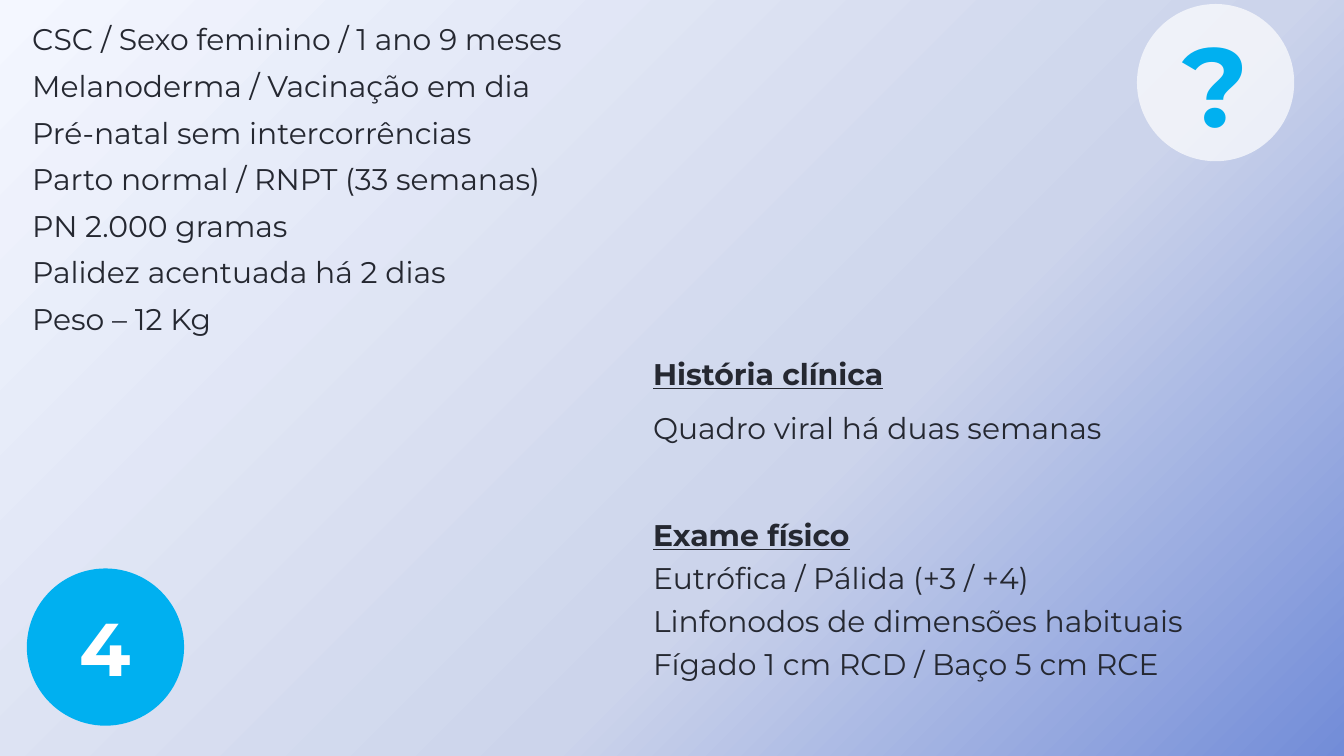
from dataclasses import dataclass

from lxml import etree
from pptx import Presentation
from pptx.dml.color import RGBColor
from pptx.enum.shapes import MSO_SHAPE
from pptx.enum.text import MSO_ANCHOR, MSO_AUTO_SIZE, PP_ALIGN
from pptx.oxml import parse_xml
from pptx.oxml.ns import nsdecls, qn
from pptx.util import Inches, Pt

MIDDLE = MSO_ANCHOR.MIDDLE
NO_FIT = MSO_AUTO_SIZE.NONE
CENTER = PP_ALIGN.CENTER
OVAL = MSO_SHAPE.OVAL


@dataclass
class Theme:
    font: str = "Montserrat"
    ink: str = "252831"
    accent: str = "00B0F0"
    white: str = "FFFFFF"
    gradient: tuple = ((0, "F4F7FF"), (62, "CCD4EB"), (100, "728CD8"))
    body_size: int = 16
    number_size: int = 40
    question_size: int = 60


theme = Theme()


def style_font(paragraph, size, color, bold=False):
    font = paragraph.font
    font.name = theme.font
    font.size = Pt(size)
    font.bold = bold
    font.color.rgb = RGBColor.from_string(color)


def fill_text(box, place, lines, spacing, heading=False, hanging=0, gap=0):
    box.left, box.top, box.width, box.height = [Inches(value) for value in place]
    frame = box.text_frame
    frame.word_wrap = True
    frame.auto_size = NO_FIT
    frame.vertical_anchor = MIDDLE
    frame.margin_left = frame.margin_right = 0
    frame.margin_top = frame.margin_bottom = 0
    frame.text = "\n".join(lines)
    for index, paragraph in enumerate(frame.paragraphs):
        is_heading = heading and index == 0
        indent = 0 if is_heading else hanging
        properties = paragraph._p.get_or_add_pPr()
        properties.set("marL", str(Inches(0.08 + indent)))
        properties.set("indent", str(Inches(-indent)))
        etree.SubElement(properties, qn("a:buNone"))
        paragraph.line_spacing = spacing
        paragraph.space_before = Pt(gap if index else 0)
        style_font(paragraph, theme.body_size, theme.ink, is_heading)
        paragraph.font.underline = is_heading


deck = Presentation()
deck.slide_width = Inches(10)
deck.slide_height = Inches(10 * 9 / 16)
page = deck.slides.add_slide(deck.slide_layouts[1])
title = page.shapes.title
title.element.getparent().remove(title.element)

stops = "".join(
    f'<a:gs pos="{position * 1000}"><a:srgbClr val="{color}"/></a:gs>'
    for position, color in theme.gradient
)
background = parse_xml(
    f'<p:bg {nsdecls("p", "a")}><p:bgPr><a:gradFill rotWithShape="1">'
    f'<a:gsLst>{stops}</a:gsLst><a:path path="circle">'
    '<a:fillToRect r="100000" b="100000"/></a:path></a:gradFill>'
    "<a:effectLst/></p:bgPr></p:bg>"
)
page.element.cSld.insert(0, background)

patient_lines = [
    "CSC / Sexo feminino / 1 ano 9 meses",
    "Melanoderma / Vacinação em dia",
    "Pré-natal sem intercorrências",
    "Parto normal / RNPT (33 semanas)",
    "PN 2.000 gramas",
    "Palidez acentuada há 2 dias",
    "Peso – 12 Kg",
]
fill_text(page.placeholders[1], (0.16, 0.03, 4.48, 2.52), patient_lines, 1.3)

history_lines = ["História clínica", "Quadro viral há duas semanas"]
exam_lines = [
    "Exame físico",
    "Eutrófica / Pálida (+3 / +4)",
    "Linfonodos de dimensões habituais",
    "Fígado 1 cm RCD / Baço 5 cm RCE",
]
for top, height, lines, hanging, gap in (
    (2.55, 0.81, history_lines, 0, 6),
    (3.69, 1.48, exam_lines, 0.42, 0),
):
    box = page.shapes.add_textbox(0, 0, 0, 0)
    fill_text(box, (4.78, top, 5.22, height), lines, 1.2, True, hanging, gap)

diameter = Inches(1.17)
for left, top, label, size, color, fill, opacity in (
    (0.2, 4.23, "4", theme.number_size, theme.white, theme.accent, 100),
    (8.46, 0.03, "?", theme.question_size, theme.accent, theme.white, 69),
):
    badge = page.shapes.add_shape(OVAL, Inches(left), Inches(top), diameter, diameter)
    badge.shadow.inherit = False
    badge.line.fill.background()
    badge.fill.solid()
    badge.fill.fore_color.rgb = RGBColor.from_string(fill)
    if opacity < 100:
        fill_color = badge.element.spPr.find(qn("a:solidFill"))[0]
        etree.SubElement(fill_color, qn("a:alpha"), val=str(opacity * 1000))
    frame = badge.text_frame
    frame.vertical_anchor = MIDDLE
    frame.text = label
    paragraph = frame.paragraphs[0]
    paragraph.alignment = CENTER
    style_font(paragraph, size, color, True)

deck.save("out.pptx")
